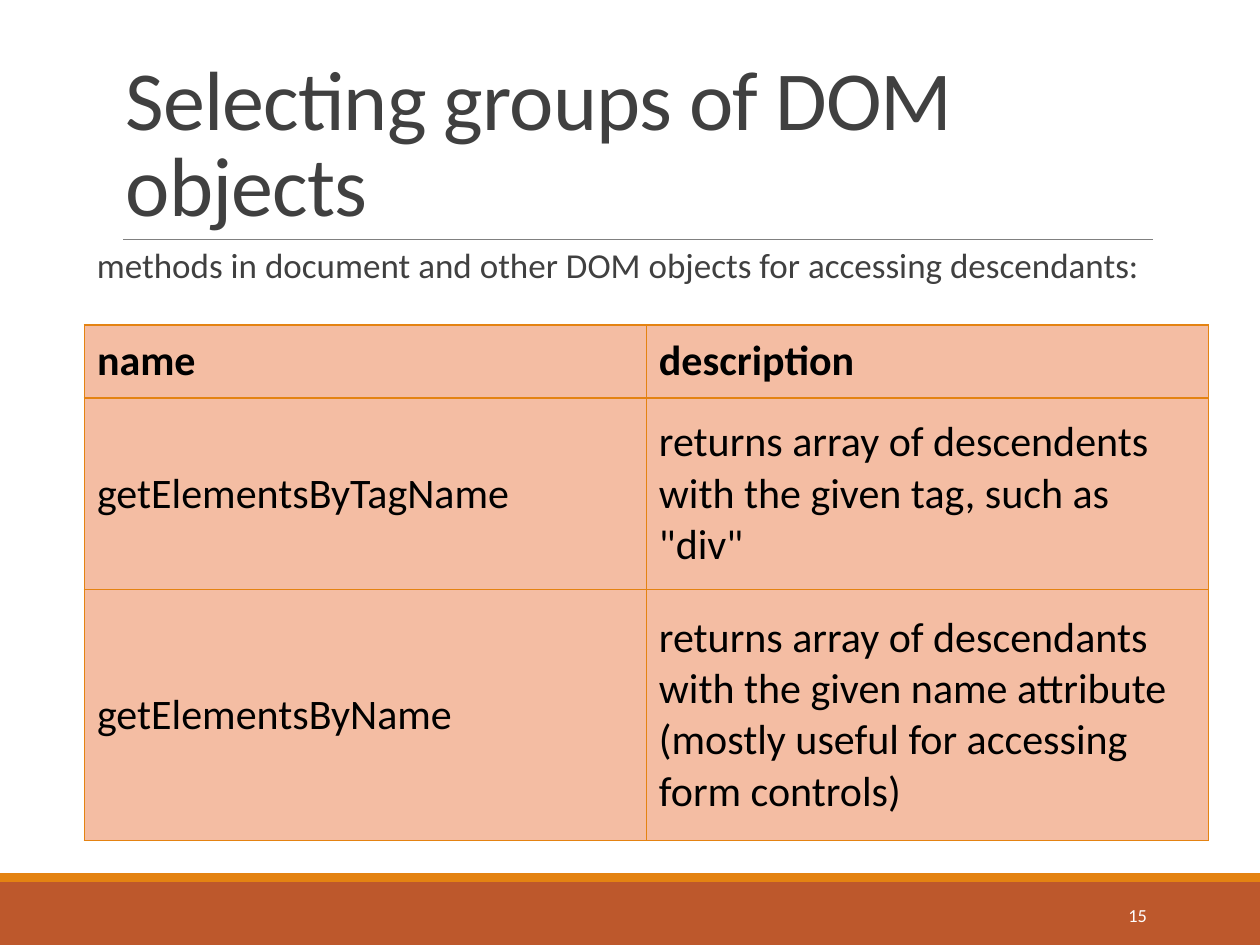
import dataclasses

import lxml.etree
import pptx
import pptx.dml.color
import pptx.enum.shapes
import pptx.enum.text
import pptx.oxml.ns
import pptx.util

PX = 9144  # 100 px to the inch
FONT = "Calibri"
HUES = {
    "white": "FFFFFF",
    "rust": "BD582C",
    "orange": "E48312",
    "rule": "808080",
    "ink": "404040",
    "black": "000000",
    "peach": "F4BDA3",
}
ALIGN = pptx.enum.text.PP_ALIGN
ANCHOR = pptx.enum.text.MSO_ANCHOR


@dataclasses.dataclass(frozen=True)
class Box:
    left: int
    top: int
    width: int
    height: int

    def emu(self) -> list[int]:
        return [n * PX for n in dataclasses.astuple(self)]


@dataclasses.dataclass(frozen=True)
class Label:
    text: str
    box: Box
    size: float
    hue: str
    anchor: ANCHOR = ANCHOR.TOP
    align: ALIGN = ALIGN.LEFT
    pitch: float = 1.0
    track: int = 0  # hundredths of a point


BANDS = [
    (Box(0, 700, 1000, 50), "rust"),
    (Box(0, 693, 1000, 7), "orange"),
]
LABELS = [
    Label("Selecting groups of DOM objects", Box(90, 31, 825, 159), 48, "ink",
          anchor=ANCHOR.BOTTOM, pitch=0.85, track=-50),
    Label("methods in document and other DOM objects for accessing descendants:",
          Box(67, 192, 892, 66), 20, "ink", pitch=0.9),
    Label("15", Box(812, 706, 108, 40), 10.5, "white",
          anchor=ANCHOR.MIDDLE, align=ALIGN.RIGHT),
]
GRID = Box(67, 258, 892, 409)
HEIGHTS = [58, 152, 199]
ROWS = [
    ("name", "description"),
    ("getElementsByTagName",
     'returns array of descendents with the given tag, such as "div"'),
    ("getElementsByName",
     "returns array of descendants with the given name attribute "
     "(mostly useful for accessing form controls)"),
]


def color(hue: str) -> pptx.dml.color.RGBColor:
    return pptx.dml.color.RGBColor.from_string(HUES[hue])


def style(para, size: float, hue: str, bold: bool = False) -> None:
    para.font.name = FONT
    para.font.size = pptx.util.Pt(size)
    para.font.bold = bold
    para.font.color.rgb = color(hue)


def add_band(slide, box: Box, hue: str) -> None:
    kind = pptx.enum.shapes.MSO_SHAPE.RECTANGLE
    band = slide.shapes.add_shape(kind, *box.emu())
    band.shadow.inherit = False
    band.fill.solid()
    band.fill.fore_color.rgb = color(hue)
    band.line.fill.background()


def add_rule(slide, left: int, right: int, top: int) -> None:
    kind = pptx.enum.shapes.MSO_CONNECTOR.STRAIGHT
    rule = slide.shapes.add_connector(
        kind, left * PX, top * PX, right * PX, top * PX)
    rule.line.color.rgb = color("rule")
    rule.line.width = pptx.util.Pt(0.5)
    props = rule._element.spPr
    lxml.etree.SubElement(props, pptx.oxml.ns.qn("a:effectLst"))


def add_label(slide, label: Label) -> None:
    frame = slide.shapes.add_textbox(*label.box.emu()).text_frame
    frame.word_wrap = True
    frame.vertical_anchor = label.anchor
    para = frame.paragraphs[0]
    para.text = label.text
    para.alignment = label.align
    para.line_spacing = label.pitch
    style(para, label.size, label.hue)
    if label.track:
        run = para.runs[0]._r
        run.get_or_add_rPr().set("spc", str(label.track))


def add_edges(cell) -> None:
    """Draw all four borders; they must come before the cell's fill."""
    props = cell._tc.get_or_add_tcPr()
    for spot, side in enumerate(("lnL", "lnR", "lnT", "lnB")):
        edge = lxml.etree.Element(
            pptx.oxml.ns.qn(f"a:{side}"), w=str(pptx.util.Pt(1)))
        fill = lxml.etree.SubElement(edge, pptx.oxml.ns.qn("a:solidFill"))
        lxml.etree.SubElement(
            fill, pptx.oxml.ns.qn("a:srgbClr"), val=HUES["orange"])
        props.insert(spot, edge)


def add_grid(slide) -> None:
    table = slide.shapes.add_table(len(ROWS), 2, *GRID.emu()).table
    table.first_row = False
    table.horz_banding = False
    for r, (height, texts) in enumerate(zip(HEIGHTS, ROWS)):
        table.rows[r].height = height * PX
        for c, text in enumerate(texts):
            cell = table.cell(r, c)
            cell.text = text
            cell.vertical_anchor = ANCHOR.MIDDLE
            cell.fill.solid()
            cell.fill.fore_color.rgb = color("peach")
            style(cell.text_frame.paragraphs[0], 24, "black", bold=r == 0)
            add_edges(cell)


def main() -> None:
    deck = pptx.Presentation()
    deck.slide_width, deck.slide_height = 1000 * PX, 750 * PX
    slide = deck.slides.add_slide(deck.slide_layouts[6])
    for box, hue in BANDS:
        add_band(slide, box, hue)
    add_rule(slide, 98, 915, 190)
    for label in LABELS:
        add_label(slide, label)
    add_grid(slide)
    deck.save("out.pptx")


if __name__ == "__main__":
    main()
